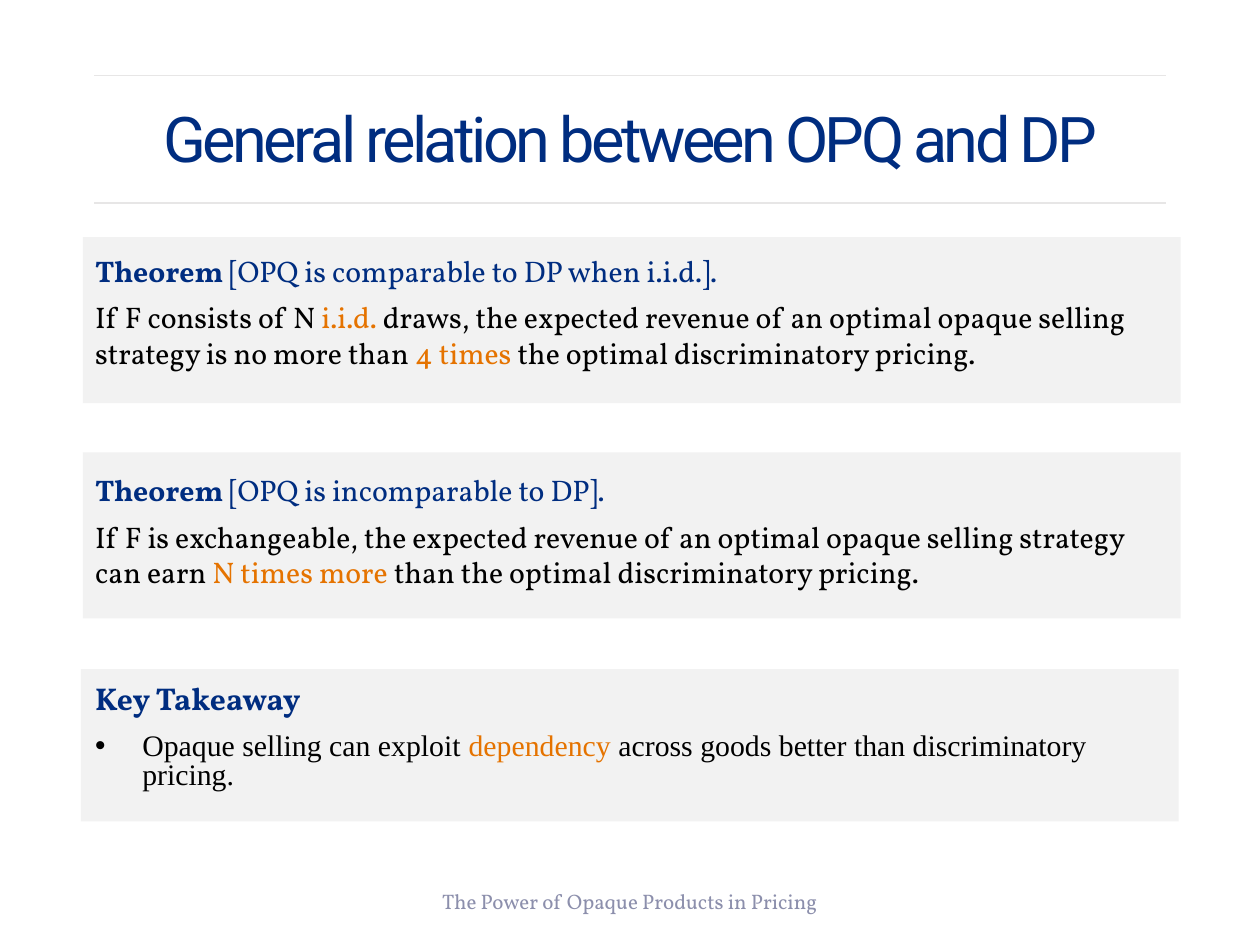
from lxml import etree
from pptx import Presentation
from pptx import util as u
from pptx.dml.color import RGBColor
from pptx.enum import shapes, text
from pptx.oxml.ns import qn

COLORS = {"navy": "002D80", "orange": "E57300", "black": "000000",
          "panel": "F2F2F2", "rule": "E7E6E6", "footer": "8C8FAC"}
HEADING = {"space_before": u.Pt(0), "line_spacing": 1.1}
STATEMENT = {"space_before": u.Pt(6)}
CENTERED = {"alignment": text.PP_ALIGN.CENTER}


def add_text(place, paragraphs, anchor=text.MSO_ANCHOR.TOP):
    frame = slide.shapes.add_textbox(*map(u.Cm, place)).text_frame
    for attribute, value in {"word_wrap": True, "vertical_anchor": anchor}.items():
        setattr(frame, attribute, value)
    for index, (layout, runs) in enumerate(paragraphs):
        paragraph = frame.add_paragraph() if index else frame.paragraphs[0]
        for attribute, value in layout.items():
            setattr(paragraph, attribute, value)
        for wording, color, size, font, bold in runs:
            run = paragraph.add_run()
            run.text = wording
            formats = {"name": font, "size": u.Pt(size), "bold": bold}
            for attribute, value in formats.items():
                setattr(run.font, attribute, value)
            run.font.color.rgb = RGBColor.from_string(COLORS[color])
    return frame


def body(wording, color="black", font="Vollkorn", bold=False):
    return wording, color, 17, font, bold


deck = Presentation()
deck.slide_width, deck.slide_height = u.Cm(25.4), u.Cm(19.05)
slide = deck.slides.add_slide(deck.slide_layouts[6])

for height in (1.52, 4.09):
    rule = slide.shapes.add_connector(
        shapes.MSO_CONNECTOR.STRAIGHT, u.Cm(1.9), u.Cm(height), u.Cm(23.5), u.Cm(height))
    rule.line.color.rgb = RGBColor.from_string(COLORS["rule"])
    rule.line.width = u.Pt(1)
    etree.SubElement(rule._element.spPr, qn("a:effectLst"))

for place in ((1.67, 4.78, 22.13, 3.35), (1.67, 9.12, 22.13, 3.35), (1.63, 13.49, 22.13, 3.07)):
    panel = slide.shapes.add_shape(shapes.MSO_SHAPE.RECTANGLE, *map(u.Cm, place))
    panel.shadow.inherit = False
    panel.fill.solid()
    panel.fill.fore_color.rgb = RGBColor.from_string(COLORS["panel"])
    panel.line.fill.background()

title = add_text(
    (1.67, 1.02, 22.07, 3.68),
    [({**CENTERED, "line_spacing": 0.9},
      [("General relation between OPQ and DP", "navy", 36, "Roboto", False)])],
    text.MSO_ANCHOR.MIDDLE)
title.paragraphs[0].runs[0].font._element.set("spc", "-200")

theorems = [
    ((1.67, 4.9, 21.64, 3.12), "[OPQ is comparable to DP when i.i.d.].", [
        body("If F consists of N "),
        body("i.i.d. ", "orange"),
        body("draws, the expected revenue of an optimal opaque selling strategy is no more than "),
        body("4 times ", "orange"),
        body("the optimal discriminatory pricing.")]),
    ((1.67, 9.32, 22.23, 3.12), "[OPQ is incomparable to DP].", [
        body("If F is exchangeable, the expected revenue of an optimal opaque selling strategy can earn "),
        body("N times more ", "orange"),
        body("than the optimal discriminatory pricing.")]),
]
for place, claim, statement in theorems:
    add_text(place, [
        (HEADING, [body("Theorem ", "navy", bold=True), body(claim, "navy")]),
        (STATEMENT, statement)])

takeaway = add_text((1.67, 13.56, 22.23, 2.67), [
    ({"space_before": u.Pt(0)}, [("Key Takeaway", "navy", 18, "Vollkorn", True)]),
    ({"space_before": u.Pt(10), "line_spacing": 0.8}, [
        body("Opaque selling can exploit ", font="Times New Roman"),
        body("dependency ", "orange", "Times New Roman"),
        body("across goods better than discriminatory pricing.", font="Times New Roman")])])
bullet = takeaway.paragraphs[1]._p.get_or_add_pPr()
for attribute, value in {"marL": u.Cm(0.95), "indent": -u.Cm(0.95)}.items():
    bullet.set(attribute, str(int(value)))
etree.SubElement(bullet, qn("a:buFont")).set("typeface", "Arial")
etree.SubElement(bullet, qn("a:buChar")).set("char", "•")

add_text(
    (7.47, 17.65, 10.46, 1.02),
    [(CENTERED, [("The Power of Opaque Products in Pricing", "footer", 12, "Vollkorn", False)])],
    text.MSO_ANCHOR.MIDDLE)

deck.save("out.pptx")
